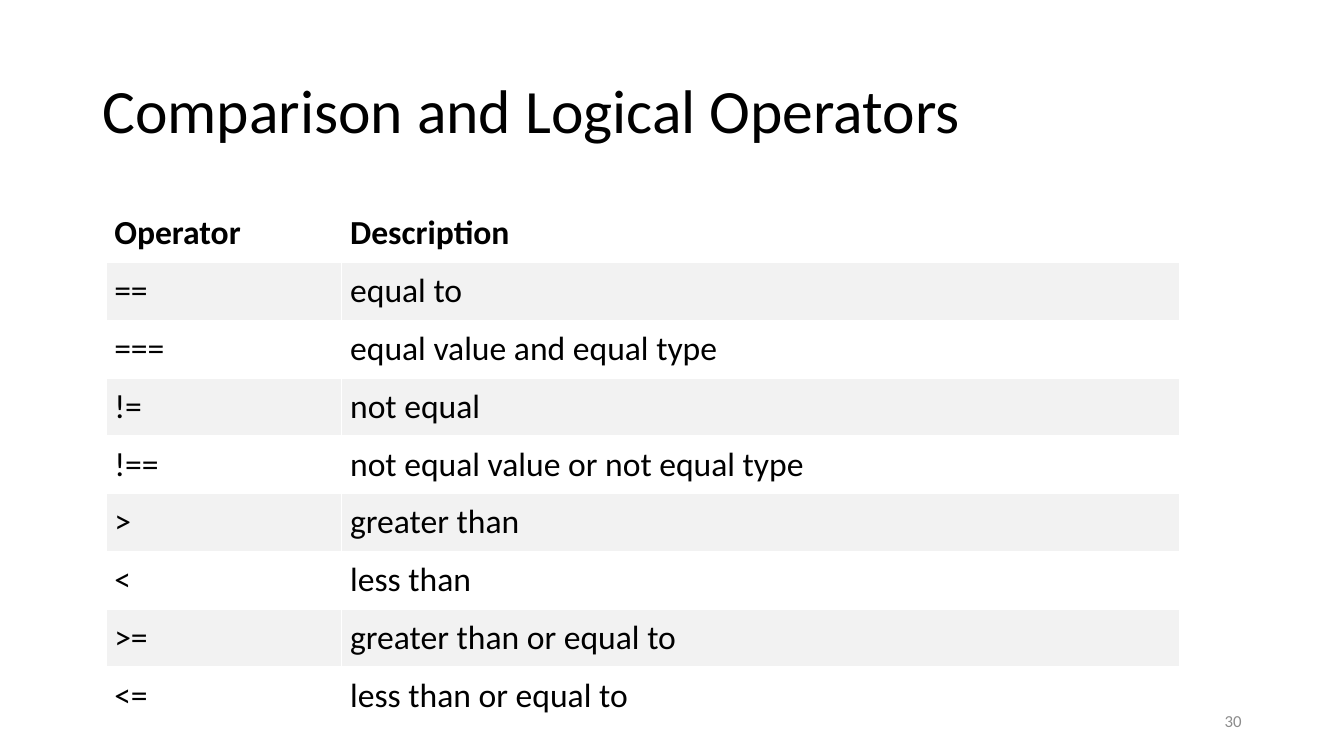
from dataclasses import dataclass

from pptx import Presentation
from pptx.dml.color import RGBColor
from pptx.enum.text import MSO_ANCHOR as Anchor, PP_ALIGN as Align
from pptx.slide import Slide
from pptx.text.text import _Paragraph as Paragraph
from pptx.util import Inches, Pt

WIDTH, HEIGHT = Inches(13.33), Inches(7.5)
COLOURS = {"ink": "000000", "number": "8C8C8C", "plain": "FFFFFF", "band": "F2F2F2"}
FONT = "Calibri"
CELL_INSET = Pt(6)
COLUMN_SHARES = (17.55, 62.34)
OPERATORS = (
    ("Operator", "Description"),
    ("==", "equal to"),
    ("===", "equal value and equal type"),
    ("!=", "not equal"),
    ("!==", "not equal value or not equal type"),
    (">", "greater than"),
    ("<", "less than"),
    (">=", "greater than or equal to"),
    ("<=", "less than or equal to"),
)


@dataclass(frozen=True)
class Area:
    """Percentages of the slide's width and height."""

    left: float
    top: float
    width: float
    height: float

    def lengths(self) -> tuple[int, int, int, int]:
        return (across(self.left), down(self.top), across(self.width), down(self.height))


@dataclass(frozen=True)
class Label:
    text: str
    area: Area
    size: int
    colour: str
    align: Align = Align.LEFT
    line_spacing: float = 1.0


TABLE_AREA = Area(7.88, 27.07, sum(COLUMN_SHARES), 68)
LABELS = (
    Label("Comparison and Logical Operators", Area(6.88, 5.33, 86.25, 19.33),
          44, "ink", line_spacing=0.9),
    Label("30", Area(70.63, 92.67, 22.5, 5.33), 12, "number", Align.RIGHT),
)


def across(share: float) -> int:
    return round(WIDTH * share / 100)


def down(share: float) -> int:
    return round(HEIGHT * share / 100)


def apply(target: object, values: dict[str, object]) -> None:
    for name, value in values.items():
        setattr(target, name, value)


def write(para: Paragraph, text: str, size: int, colour: str, bold: bool = False) -> None:
    span = para.add_run()
    span.text = text
    apply(span.font, {"name": FONT, "size": Pt(size), "bold": bold})
    span.font.color.rgb = RGBColor.from_string(COLOURS[colour])


def draw_label(page: Slide, label: Label) -> None:
    frame = page.shapes.add_textbox(*label.area.lengths()).text_frame
    apply(frame, {"word_wrap": True, "vertical_anchor": Anchor.MIDDLE})
    para = frame.paragraphs[0]
    apply(para, {"alignment": label.align, "line_spacing": label.line_spacing})
    write(para, label.text, label.size, label.colour)


def draw_operators(page: Slide) -> None:
    table = page.shapes.add_table(
        len(OPERATORS), len(COLUMN_SHARES), *TABLE_AREA.lengths()).table
    for column, share in zip(table.columns, COLUMN_SHARES):
        column.width = across(share)
    insets = {f"margin_{side}": CELL_INSET for side in ("left", "right", "top", "bottom")}
    for row, texts in enumerate(OPERATORS):
        for column, text in enumerate(texts):
            cell = table.cell(row, column)
            apply(cell, insets)
            cell.fill.solid()
            shade = COLOURS["band" if row % 2 else "plain"]
            cell.fill.fore_color.rgb = RGBColor.from_string(shade)
            write(cell.text_frame.paragraphs[0], text, 24, "ink", bold=row == 0)
    apply(table, {"first_row": False, "horz_banding": False})


def main() -> None:
    deck = Presentation()
    apply(deck, {"slide_width": WIDTH, "slide_height": HEIGHT})
    page = deck.slides.add_slide(deck.slide_layouts[6])
    draw_operators(page)
    for label in LABELS:
        draw_label(page, label)
    deck.save("out.pptx")


if __name__ == "__main__":
    main()
